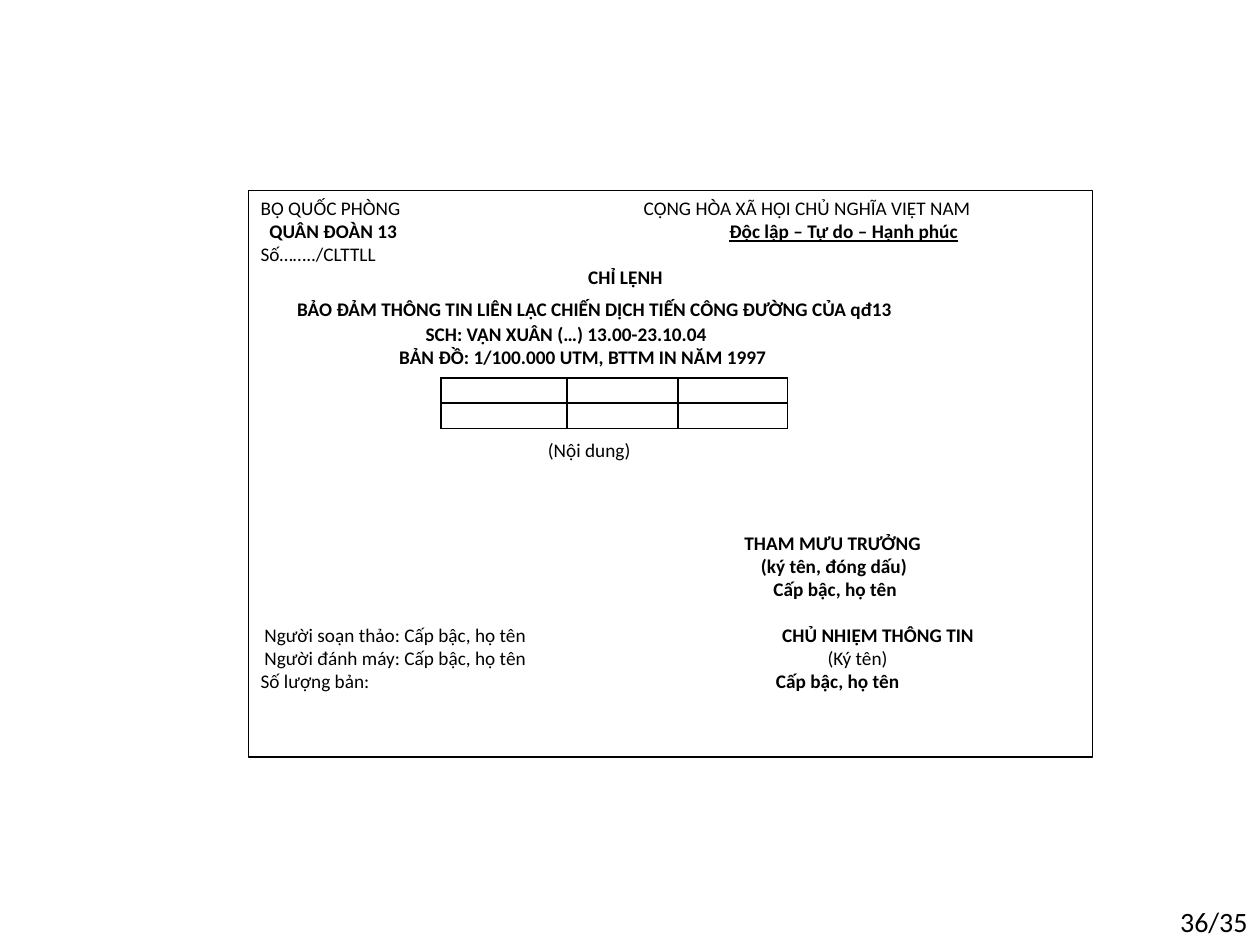
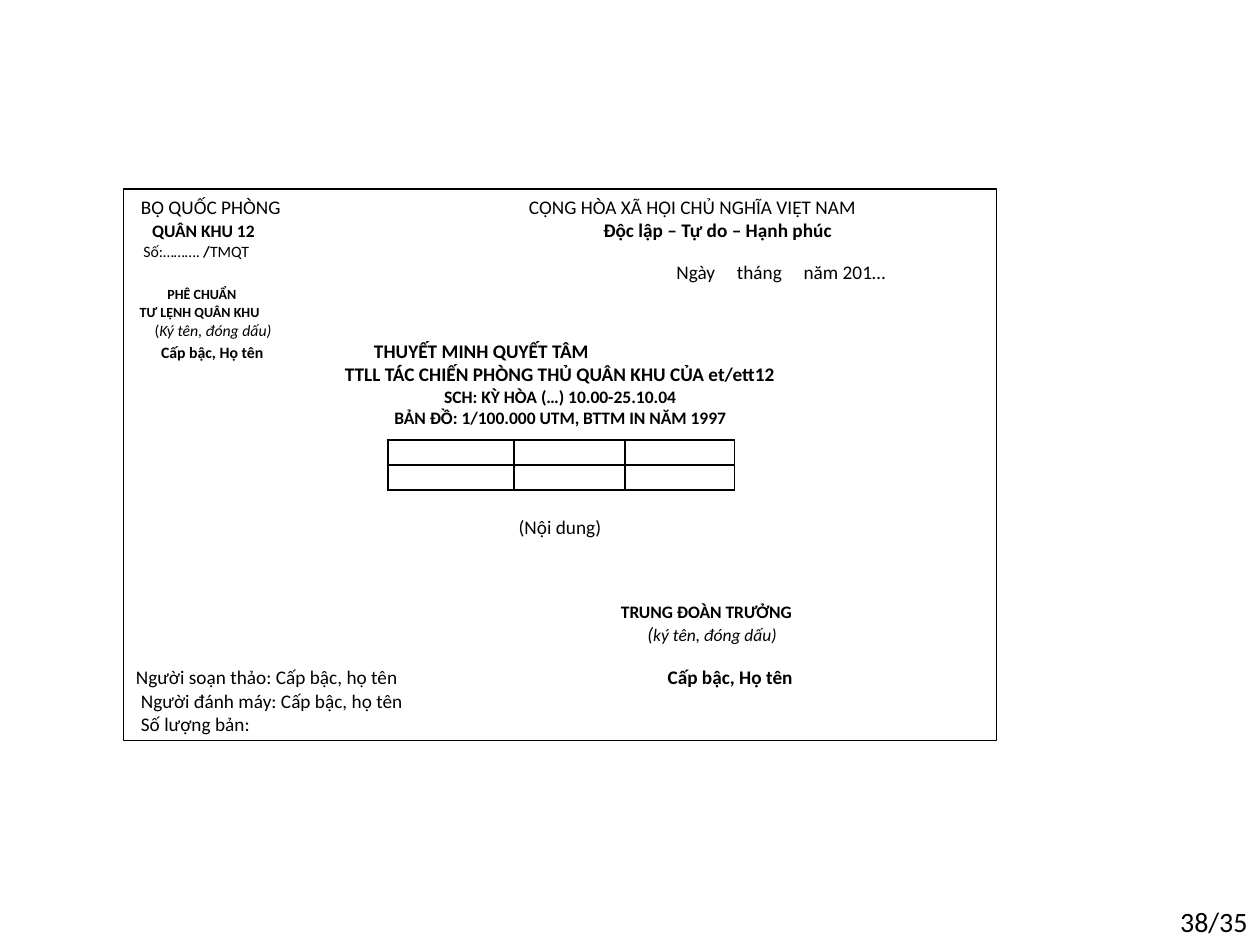
"""Build two command-document form slides with a framed page and a small grid."""
from dataclasses import dataclass

from lxml.etree import SubElement
from pptx import Presentation
from pptx.dml.color import RGBColor
from pptx.enum.shapes import MSO_SHAPE as Preset
from pptx.enum.text import MSO_ANCHOR as Anchor, PP_ALIGN as Align
from pptx.oxml.ns import qn
from pptx.slide import Slide
from pptx.text.text import TextFrame, _Paragraph as Paragraph
from pptx.util import Inches, Pt


@dataclass(frozen=True)
class Theme:
    font: str = "Calibri"
    ink: RGBColor = RGBColor(0, 0, 0)
    paper: RGBColor = RGBColor(255, 255, 255)
    body: int = 11
    subtitle: int = 10
    small: int = 9
    tiny: int = 8
    number: int = 16
    frame_line: float = 0.75
    grid_line: float = 1


THEME = Theme()
STYLES = {
    "plain": {},
    "bold": {"bold": True},
    "italic": {"italic": True},
    "underlined": {"bold": True, "underline": True},
}


@dataclass(frozen=True)
class Phrase:
    text: str
    at: float = 0
    style: str = "plain"
    size: int = THEME.body


@dataclass(frozen=True)
class Row:
    phrases: tuple[Phrase, ...]
    before: float = 0
    align: Align = Align.LEFT


@dataclass(frozen=True)
class Box:
    left: float
    top: float
    width: float
    height: float

    def lengths(self) -> tuple[Inches, ...]:
        return tuple(Inches(v) for v in (self.left, self.top, self.width, self.height))


@dataclass(frozen=True)
class Form:
    number: str
    frame: Box
    grid: Box
    rows: tuple[Row, ...]
    grid_behind: bool = False


NUMBER_BOX = Box(9, 7.11, 1, 0.4)
GRID_COLUMNS = (1, 0.88, 0.87)
GRID_ROWS = 2
NATION = "CỘNG HÒA XÃ HỘI CHỦ NGHĨA VIỆT NAM"
MOTTO = "Độc lập – Tự do – Hạnh phúc"
MINISTRY = "BỘ QUỐC PHÒNG"
MAP = "BẢN ĐỒ: 1/100.000 UTM, BTTM IN NĂM 1997"
CONTENT = "(Nội dung)"
DRAFTER = "Người soạn thảo: Cấp bậc, họ tên"
TYPIST = "Người đánh máy: Cấp bậc, họ tên"
COPIES = "Số lượng bản:"


def row(*phrases: Phrase, before: float = 0) -> Row:
    return Row(phrases, before)


def centred(text: str, style: str = "bold", size: int = THEME.body, before: float = 0) -> Row:
    return Row((Phrase(text, 0, style, size),), before, Align.CENTER)


DIRECTIVE = Form(
    "36/35",
    Box(1.97, 1.51, 6.7, 4.5),
    Box(3.5, 3, 2.75, 0.4),
    (
        row(Phrase(MINISTRY), Phrase(NATION, 3.04)),
        row(Phrase("QUÂN ĐOÀN 13", 0.07, "bold"), Phrase(MOTTO, 3.72, "underlined")),
        row(Phrase("Số……../CLTTLL")),
        row(Phrase("CHỈ LỆNH", 2.6, "bold")),
        row(Phrase("BẢO ĐẢM THÔNG TIN LIÊN LẠC CHIẾN DỊCH TIẾN CÔNG ĐƯỜNG CỦA qđ13", 0.29, "bold"),
            before=5),
        row(Phrase("SCH: VẠN XUÂN (…) 13.00-23.10.04", 1.31, "bold"), before=1),
        row(Phrase(MAP, 1.1, "bold")),
        row(Phrase(CONTENT, 2.28), before=39.5),
        row(Phrase("THAM MƯU TRƯỞNG", 3.84, "bold"), before=40),
        row(Phrase("(ký tên, đóng dấu)", 3.97, "bold")),
        row(Phrase("Cấp bậc, họ tên", 4.07, "bold")),
        row(Phrase(DRAFTER, 0.03), Phrase("CHỦ NHIỆM THÔNG TIN", 4.14, "bold"), before=13),
        row(Phrase(TYPIST, 0.03), Phrase("(Ký tên)", 4.5)),
        row(Phrase(COPIES), Phrase("Cấp bậc, họ tên", 4.09, "bold")),
    ),
    grid_behind=True,
)

EXPLANATION = Form(
    "38/35",
    Box(0.98, 1.5, 6.93, 4.38),
    Box(3.08, 3.49, 2.75, 0.4),
    (
        row(Phrase(MINISTRY, 0.04), Phrase(NATION, 3.12)),
        row(Phrase("QUÂN KHU 12", 0.13, "bold", THEME.subtitle), Phrase(MOTTO, 3.71, "bold")),
        row(Phrase("Số:……….", 0.06, size=THEME.small), Phrase(" /", 0, "bold", THEME.small),
            Phrase("TMQT", size=THEME.small)),
        row(Phrase("Ngày", 4.29), Phrase("tháng", 4.77), Phrase("năm 201…", 5.3)),
        row(Phrase("PHÊ CHUẨN", 0.25, "bold", THEME.tiny), before=1),
        row(Phrase("TƯ LỆNH QUÂN KHU", 0.03, "bold", THEME.tiny), before=1),
        row(Phrase("(", 0.15, size=THEME.small),
            Phrase("Ký tên, đóng dấu)", 0, "italic", THEME.small)),
        row(Phrase("Cấp bậc, Họ tên", 0.2, "bold", THEME.small),
            Phrase("THUYẾT MINH QUYẾT TÂM", 1.89, "bold")),
        centred("TTLL TÁC CHIẾN PHÒNG THỦ QUÂN KHU CỦA et/ett12"),
        centred("SCH: KỲ HÒA (…) 10.00-25.10.04", size=THEME.subtitle),
        centred(MAP, size=THEME.subtitle),
        centred(CONTENT, "plain", before=50),
        row(Phrase("TRUNG ĐOÀN TRƯỞNG", 3.85, "bold", THEME.subtitle), before=36),
        row(Phrase("(", 4.06, "italic"),
            Phrase("ký tên, đóng dấu)", 0, "italic", THEME.subtitle)),
        row(Phrase(DRAFTER), Phrase("Cấp bậc, Họ tên", 4.22, "bold"), before=11.5),
        row(Phrase(TYPIST, 0.04)),
        row(Phrase(COPIES, 0.04)),
    ),
)


def add_run(paragraph: Paragraph, text: str, size: int, style: str = "plain") -> None:
    run = paragraph.add_run()
    run.text = text
    run.font.color.rgb = THEME.ink
    formats = {"name": THEME.font, "size": Pt(size), **STYLES[style]}
    for key, value in formats.items():
        setattr(run.font, key, value)


def write_row(paragraph: Paragraph, line: Row) -> None:
    formats = {"alignment": line.align, "space_before": Pt(line.before)}
    for key, value in formats.items():
        setattr(paragraph, key, value)
    stops = [phrase.at for phrase in line.phrases if phrase.at]
    if stops:
        tabs = SubElement(paragraph._p.get_or_add_pPr(), qn("a:tabLst"))
        for stop in stops:
            SubElement(tabs, qn("a:tab"), pos=str(Inches(stop)), algn="l")
    for phrase in line.phrases:
        if phrase.at:
            add_run(paragraph, "\t", phrase.size)
        add_run(paragraph, phrase.text, phrase.size, phrase.style)


def write_rows(text: TextFrame, rows: tuple[Row, ...], anchor: Anchor) -> None:
    text.word_wrap = True
    text.vertical_anchor = anchor
    for index, line in enumerate(rows):
        write_row(text.add_paragraph() if index else text.paragraphs[0], line)


def draw_frame(slide: Slide, form: Form) -> None:
    frame = slide.shapes.add_shape(Preset.RECTANGLE, *form.frame.lengths())
    frame.shadow.inherit = False
    if form.grid_behind:
        frame.fill.background()
    else:
        frame.fill.solid()
        frame.fill.fore_color.rgb = THEME.paper
    frame.line.color.rgb = THEME.ink
    frame.line.width = Pt(THEME.frame_line)
    write_rows(frame.text_frame, form.rows, Anchor.TOP)


def draw_grid(slide: Slide, form: Form) -> None:
    grid = slide.shapes.add_table(GRID_ROWS, len(GRID_COLUMNS), *form.grid.lengths()).table
    grid.first_row = grid.horz_banding = False
    for column, width in zip(grid.columns, GRID_COLUMNS):
        column.width = Inches(width)
    for cell in grid.iter_cells():
        for side in ("left", "right", "top", "bottom"):
            setattr(cell, f"margin_{side}", 0)
        for edge in ("a:lnL", "a:lnR", "a:lnT", "a:lnB"):
            border = SubElement(cell._tc.get_or_add_tcPr(), qn(edge), w=str(Pt(THEME.grid_line)))
            SubElement(SubElement(border, qn("a:solidFill")), qn("a:srgbClr"), val=str(THEME.ink))
        cell.fill.solid()
        cell.fill.fore_color.rgb = THEME.paper
        ending = cell.text_frame.paragraphs[0]._p.get_or_add_endParaRPr()
        ending.set("sz", str(THEME.tiny * 100))


def draw_form(slide: Slide, form: Form) -> None:
    number = slide.shapes.add_textbox(*NUMBER_BOX.lengths())
    page = Row((Phrase(form.number, size=THEME.number),), align=Align.RIGHT)
    write_rows(number.text_frame, (page,), Anchor.MIDDLE)
    layers = (draw_grid, draw_frame) if form.grid_behind else (draw_frame, draw_grid)
    for draw in layers:
        draw(slide, form)


def main() -> None:
    deck = Presentation()
    deck.slide_width, deck.slide_height = Inches(10), Inches(7.5)
    for form in (DIRECTIVE, EXPLANATION):
        draw_form(deck.slides.add_slide(deck.slide_layouts[6]), form)
    deck.save("out.pptx")


if __name__ == "__main__":
    main()
